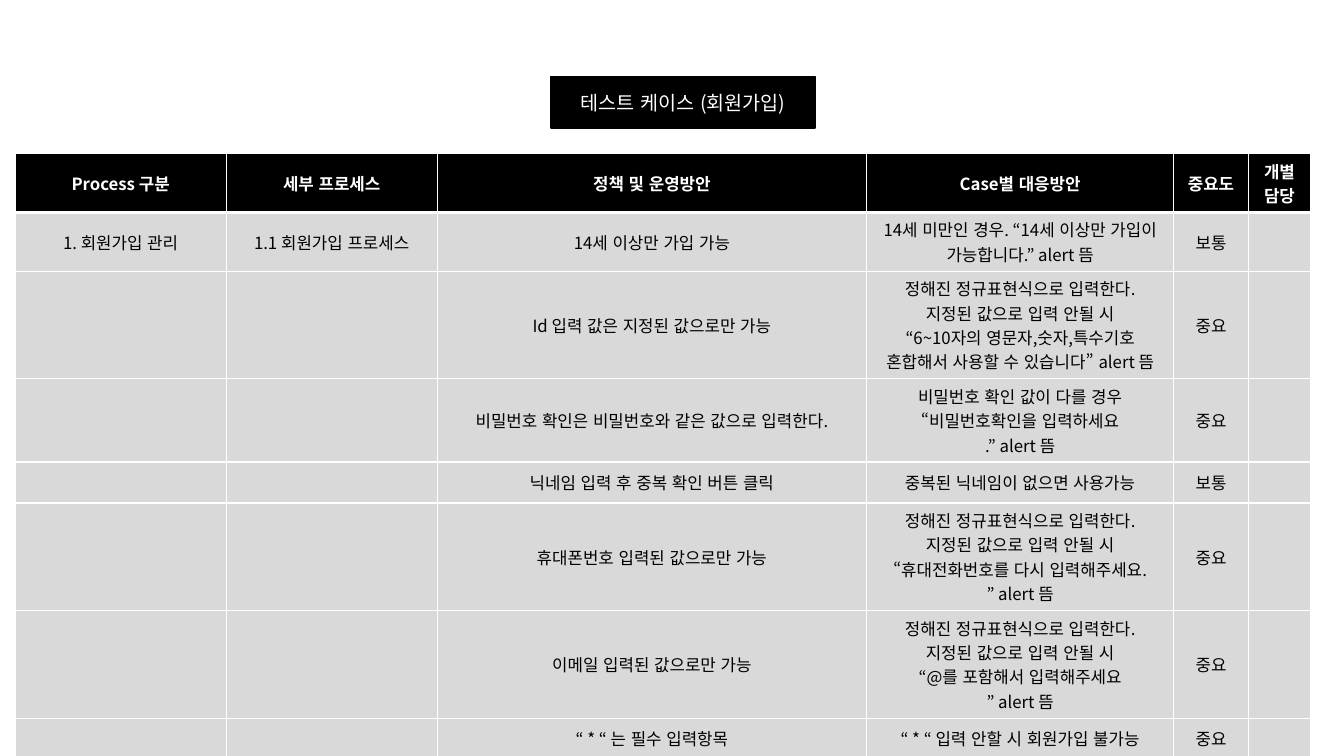
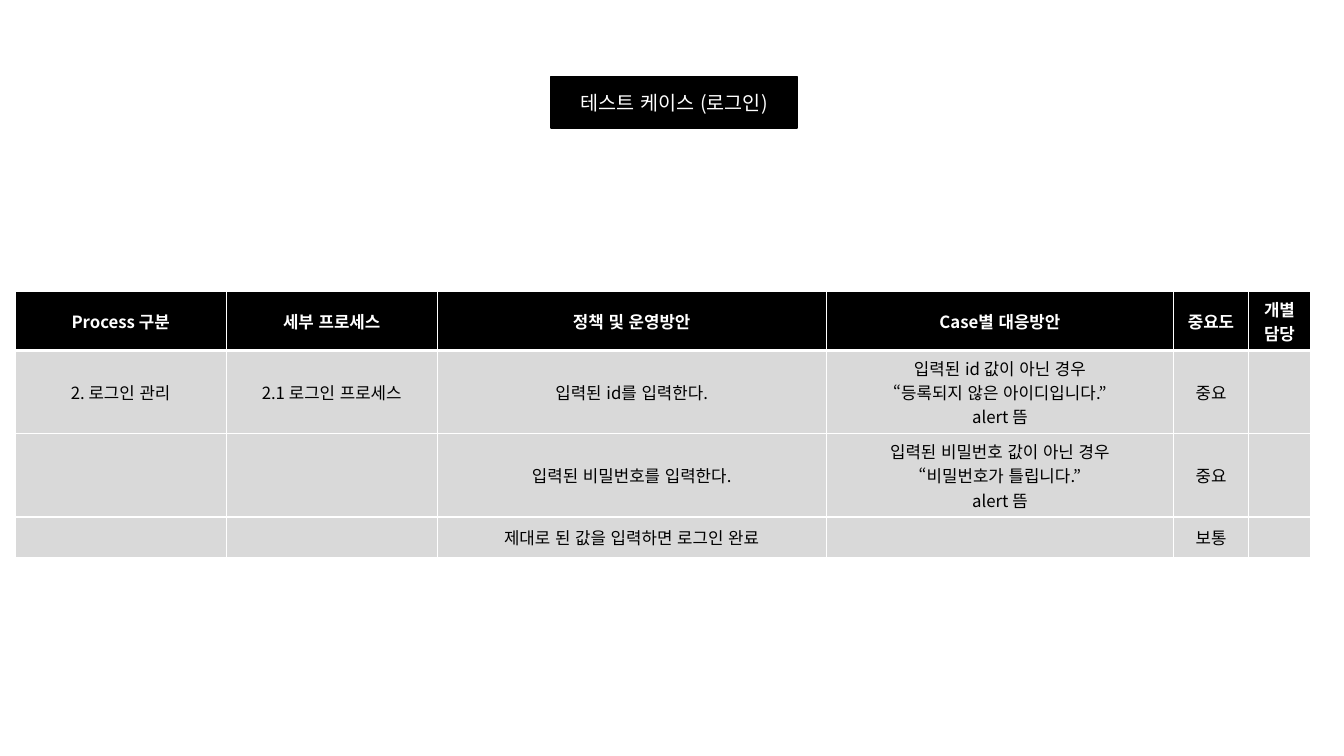
from lxml.etree import SubElement
from pptx import Presentation
from pptx.dml.color import RGBColor
from pptx.enum.lang import MSO_LANGUAGE_ID as LANG
from pptx.enum.shapes import MSO_SHAPE as SHAPE
from pptx.enum.text import MSO_ANCHOR as ANCHOR, PP_ALIGN as ALIGN
from pptx.oxml.ns import qn
from pptx.util import Cm, Pt

FONT = "Noto Sans CJK KR"
BLACK, WHITE, GRAY = "000000", "FFFFFF", "D9D9D9"
TITLE = {"size": Pt(14), "bold": False}
HEAD = {"size": Pt(12), "bold": True}
BODY = {"size": Pt(12), "bold": False}

SLIDE_W, SLIDE_H = 33.87, 19.05
TITLE_X, TITLE_Y, TITLE_H = 13.89, 1.93, 1.3
TABLE_X, ROW_H = 0.38, 1.03
GROUP_W, DETAIL_W, LEVEL_W, OWNER_W = 5.32, 18.56, 1.88, 1.57

HEADERS = ["Process 구분", "세부 프로세스", "정책 및 운영방안",
           "Case별 대응방안", "중요도", "개별담당"]
FORMAT_RULE = "정해진 정규표현식으로 입력한다.\n지정된 값으로 입력 안될 시\n"

SIGNUP = [
    ("14세 이상만 가입 가능",
     "14세 미만인 경우. “14세 이상만 가입이 가능합니다.” alert 뜸", "보통"),
    ("Id 입력 값은 지정된 값으로만 가능",
     FORMAT_RULE + "“6~10자의 영문자,숫자,특수기호 혼합해서 사용할 수 있습니다” alert 뜸",
     "중요"),
    ("비밀번호 확인은 비밀번호와 같은 값으로 입력한다.",
     "비밀번호 확인 값이 다를 경우\n“비밀번호확인을 입력하세요\n.” alert 뜸", "중요"),
    ("닉네임 입력 후 중복 확인 버튼 클릭", "중복된 닉네임이 없으면 사용가능", "보통"),
    ("휴대폰번호 입력된 값으로만 가능",
     FORMAT_RULE + "“휴대전화번호를 다시 입력해주세요.\n” alert 뜸", "중요"),
    ("이메일 입력된 값으로만 가능",
     FORMAT_RULE + "“@를 포함해서 입력해주세요\n” alert 뜸", "중요"),
    ("“ * “ 는 필수 입력항목", "“ * “ 입력 안할 시 회원가입 불가능", "중요"),
]
LOGIN = [
    ("입력된 id를 입력한다.",
     "입력된 id 값이 아닌 경우\n“등록되지 않은 아이디입니다.”\nalert 뜸", "중요"),
    ("입력된 비밀번호를 입력한다.",
     "입력된 비밀번호 값이 아닌 경우\n“비밀번호가 틀립니다.”\nalert 뜸", "중요"),
    ("제대로 된 값을 입력하면 로그인 완료", "", "보통"),
]


def rgb(color):
    return RGBColor.from_string(color)


def paint(fill, color):
    fill.solid()
    fill.fore_color.rgb = rgb(color)


def write(tf, text, color, style):
    tf.word_wrap = True
    for i, line in enumerate(text.split("\n")):
        p = tf.add_paragraph() if i else tf.paragraphs[0]
        p.alignment = ALIGN.CENTER
        if not line:
            SubElement(p._p, qn("a:endParaRPr"), sz=str(int(style["size"].pt * 100)))
            continue
        r = p.add_run()
        r.text = line
        for name, value in {"name": FONT, "language_id": LANG.KOREAN, **style}.items():
            setattr(r.font, name, value)
        r.font.color.rgb = rgb(color)
        SubElement(r._r.rPr, qn("a:ea"), typeface=FONT)


def border(cell, widths):
    tcPr = cell._tc.get_or_add_tcPr()
    for side, width in zip("LRTB", widths):
        ln = SubElement(tcPr, qn(f"a:ln{side}"), w=str(Pt(width)))
        SubElement(SubElement(ln, qn("a:solidFill")), qn("a:srgbClr"), val=WHITE)


def title_box(slide, x, y, w, h, text):
    sp = slide.shapes.add_shape(SHAPE.RECTANGLE, Cm(x), Cm(y), Cm(w), Cm(h))
    sp.shadow.inherit = False
    paint(sp.fill, BLACK)
    sp.line.color.rgb = rgb(BLACK)
    sp.line.width = Pt(1)
    sp.text_frame.vertical_anchor = ANCHOR.MIDDLE
    write(sp.text_frame, text, WHITE, TITLE)


def case_table(slide, x, y, widths, rows):
    frame = slide.shapes.add_table(len(rows), len(widths), Cm(x), Cm(y),
                                   Cm(sum(widths)), Cm(ROW_H * len(rows)))
    table = frame.table
    table.horz_banding = False
    for column, width in zip(table.columns, widths):
        column.width = Cm(width)
    for i, row in enumerate(rows):
        table.rows[i].height = Cm(ROW_H)
        back, color, style = (GRAY, BLACK, BODY) if i else (BLACK, WHITE, HEAD)
        for j, text in enumerate(row):
            cell = table.cell(i, j)
            border(cell, (1, 1, 3 if i == 1 else 1, 1 if i else 3))
            paint(cell.fill, back)
            cell.vertical_anchor = ANCHOR.MIDDLE
            write(cell.text_frame, text, color, style)


def case_slide(prs, title, title_w, table_y, policy_w, process, step, cases):
    slide = prs.slides.add_slide(prs.slide_layouts[6])
    title_box(slide, TITLE_X, TITLE_Y, title_w, TITLE_H, title)
    widths = [GROUP_W, GROUP_W, policy_w, DETAIL_W - policy_w, LEVEL_W, OWNER_W]
    rows = [HEADERS]
    for i, case in enumerate(cases):
        group = ("", "") if i else (process, step)
        rows.append([*group, *case, ""])
    case_table(slide, TABLE_X, table_y, widths, rows)


def main():
    prs = Presentation()
    prs.slide_width, prs.slide_height = Cm(SLIDE_W), Cm(SLIDE_H)
    case_slide(prs, "테스트 케이스 (회원가입)", 6.65, 3.87, 10.82,
               "1. 회원가입 관리", "1.1 회원가입 프로세스", SIGNUP)
    case_slide(prs, "테스트 케이스 (로그인)", 6.2, 7.35, 9.8,
               "2. 로그인 관리", "2.1 로그인 프로세스", LOGIN)
    prs.save("out.pptx")


if __name__ == "__main__":
    main()
